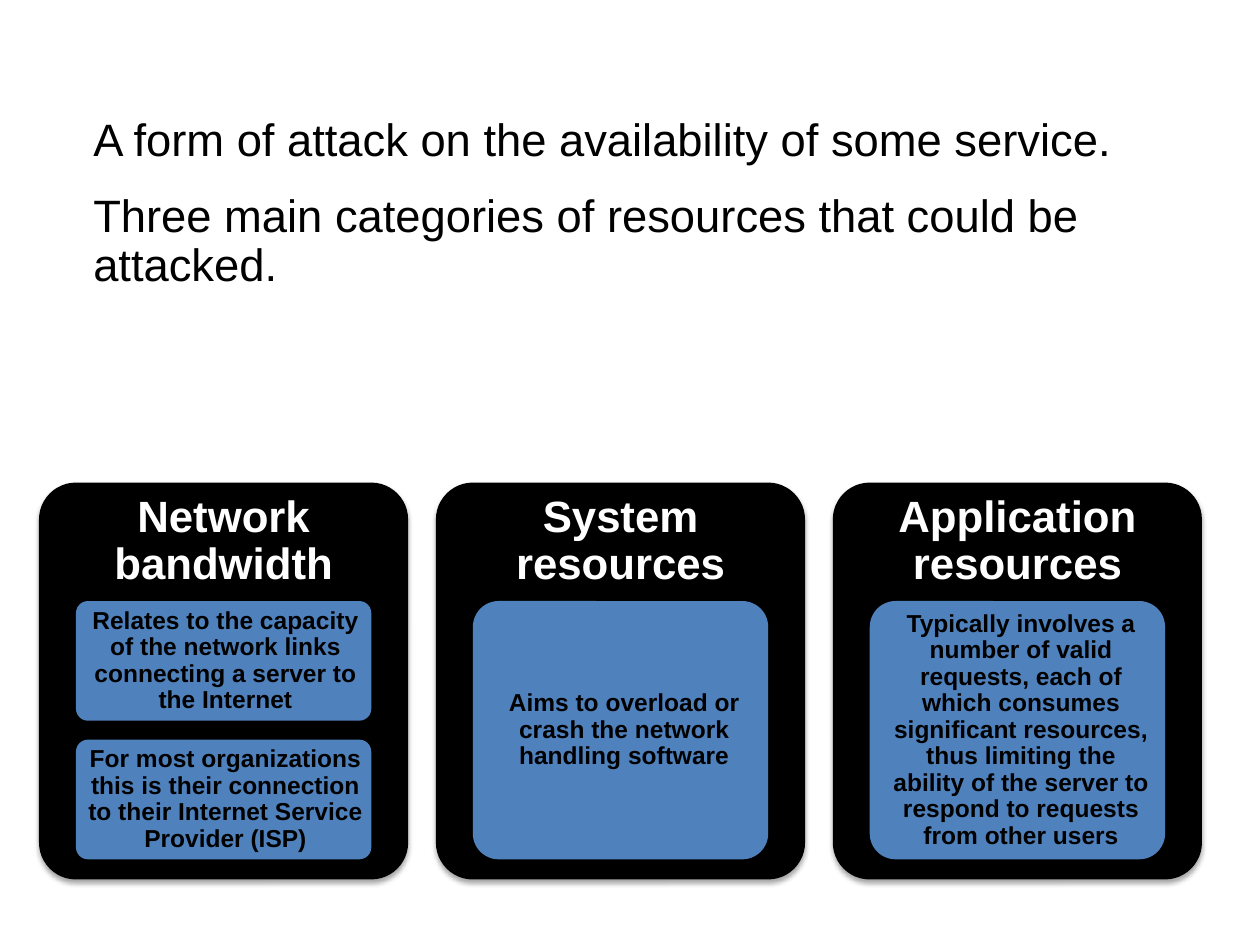
from dataclasses import dataclass

from lxml.etree import SubElement
from pptx import Presentation
from pptx.dml.color import RGBColor
from pptx.enum.shapes import MSO_SHAPE
from pptx.enum.text import MSO_ANCHOR, PP_ALIGN
from pptx.oxml.ns import qn
from pptx.util import Inches, Pt


@dataclass(frozen=True)
class Theme:
    """Colours, type sizes and spacing of the slide."""
    font: str = "Arial"
    black: str = "000000"
    white: str = "FFFFFF"
    blue: str = "4F81BD"
    intro: float = 25.9
    heading: float = 25
    detail: float = 14
    line_spacing: float = 0.9


THEME = Theme()

INTRO = [
    "A form of attack on the availability of some service.",
    "Three main categories of resources that could be attacked.",
]

CATEGORIES = [
    ("Network bandwidth", [
        "Relates to the capacity of the network links connecting a server to the Internet",
        "For most organizations this is their connection to their Internet Service Provider (ISP)",
    ]),
    ("System resources", [
        "Aims to overload or crash the network handling software",
    ]),
    ("Application resources", [
        "Typically involves a number of valid requests, each of which consumes significant "
        "resources, thus limiting the ability of the server to respond to requests from other users",
    ]),
]


def set_frame(tf, insets, anchor):
    """Set wrapping, anchor and the left, top, right and bottom insets."""
    left, top, right, bottom = insets
    values = {
        "word_wrap": True,
        "vertical_anchor": anchor,
        "margin_left": Inches(left),
        "margin_top": Inches(top),
        "margin_right": Inches(right),
        "margin_bottom": Inches(bottom),
    }
    for name, value in values.items():
        setattr(tf, name, value)


def write(p, text, size, color, bold=False, align=PP_ALIGN.LEFT):
    """Write one formatted run into a paragraph."""
    p.alignment = align
    p.line_spacing = THEME.line_spacing
    r = p.add_run()
    r.text = text
    for name, value in {"name": THEME.font, "size": Pt(size), "bold": bold}.items():
        setattr(r.font, name, value)
    r.font.color.rgb = RGBColor.from_string(color)


def add_shadow(sp):
    """Give a shape a soft shadow that falls straight down."""
    effects = SubElement(sp.element.spPr, qn("a:effectLst"))
    shadow = SubElement(effects, qn("a:outerShdw"), blurRad=str(Pt(3.1)),
                        dist=str(Pt(1.8)), dir="5400000", rotWithShape="0")
    color = SubElement(shadow, qn("a:srgbClr"), val=THEME.black)
    SubElement(color, qn("a:alpha"), val="35000")


def add_panel(s, box, text, fill, size, color, insets):
    """Add a rounded panel with centred bold text."""
    sp = s.shapes.add_shape(MSO_SHAPE.ROUNDED_RECTANGLE, *map(Inches, box))
    sp.adjustments[0] = 0.1
    sp.fill.solid()
    sp.fill.fore_color.rgb = RGBColor.from_string(fill)
    sp.line.fill.background()
    add_shadow(sp)
    set_frame(sp.text_frame, insets, MSO_ANCHOR.MIDDLE)
    write(sp.text_frame.paragraphs[0], text, size, color, True, PP_ALIGN.CENTER)


def add_intro(s, box, lines):
    """Add the introductory statements."""
    tf = s.shapes.add_textbox(*map(Inches, box)).text_frame
    set_frame(tf, (0.32, 0.1, 0.1, 0.1), MSO_ANCHOR.TOP)
    for i, line in enumerate(lines):
        p = tf.add_paragraph() if i else tf.paragraphs[0]
        if i:
            p.space_before = Pt(15.4)
        write(p, line, THEME.intro, THEME.black)


def add_category(s, box, heading, details):
    """Add a category card with its details stacked below the heading."""
    left, top, width, height = box
    add_panel(s, box, heading, THEME.black, THEME.heading, THEME.white,
              (0.1, 0.1, 0.1, 2.31))
    gap, stack = 0.15, 2.05
    item = (stack - gap * (len(details) - 1)) / len(details)
    insets = (0.07, 0.06, 0.04, 0.06) if len(details) > 1 else (0.1, 0.09, 0.04, 0.09)
    for i, detail in enumerate(details):
        place = (left + width * 0.1, top + 0.94 + i * (item + gap), width * 0.8, item)
        add_panel(s, place, detail, THEME.blue, THEME.detail, THEME.black, insets)


def add_categories(s, box, categories):
    """Spread the category cards evenly across a box."""
    left, top, width, height = box
    gap = 0.22
    card = (width - gap * (len(categories) - 1)) / len(categories)
    for i, (heading, details) in enumerate(categories):
        add_category(s, (left + i * (card + gap), top, card, height), heading, details)


def main():
    """Build and save the slide."""
    prs = Presentation()
    prs.slide_width, prs.slide_height = Inches(10), Inches(7.5)
    s = prs.slides.add_slide(prs.slide_layouts[6])
    add_intro(s, (0.42, 0.83, 9.15, 4.64), INTRO)
    add_categories(s, (0.31, 3.83, 9.23, 3.15), CATEGORIES)
    prs.save("out.pptx")


if __name__ == "__main__":
    main()
